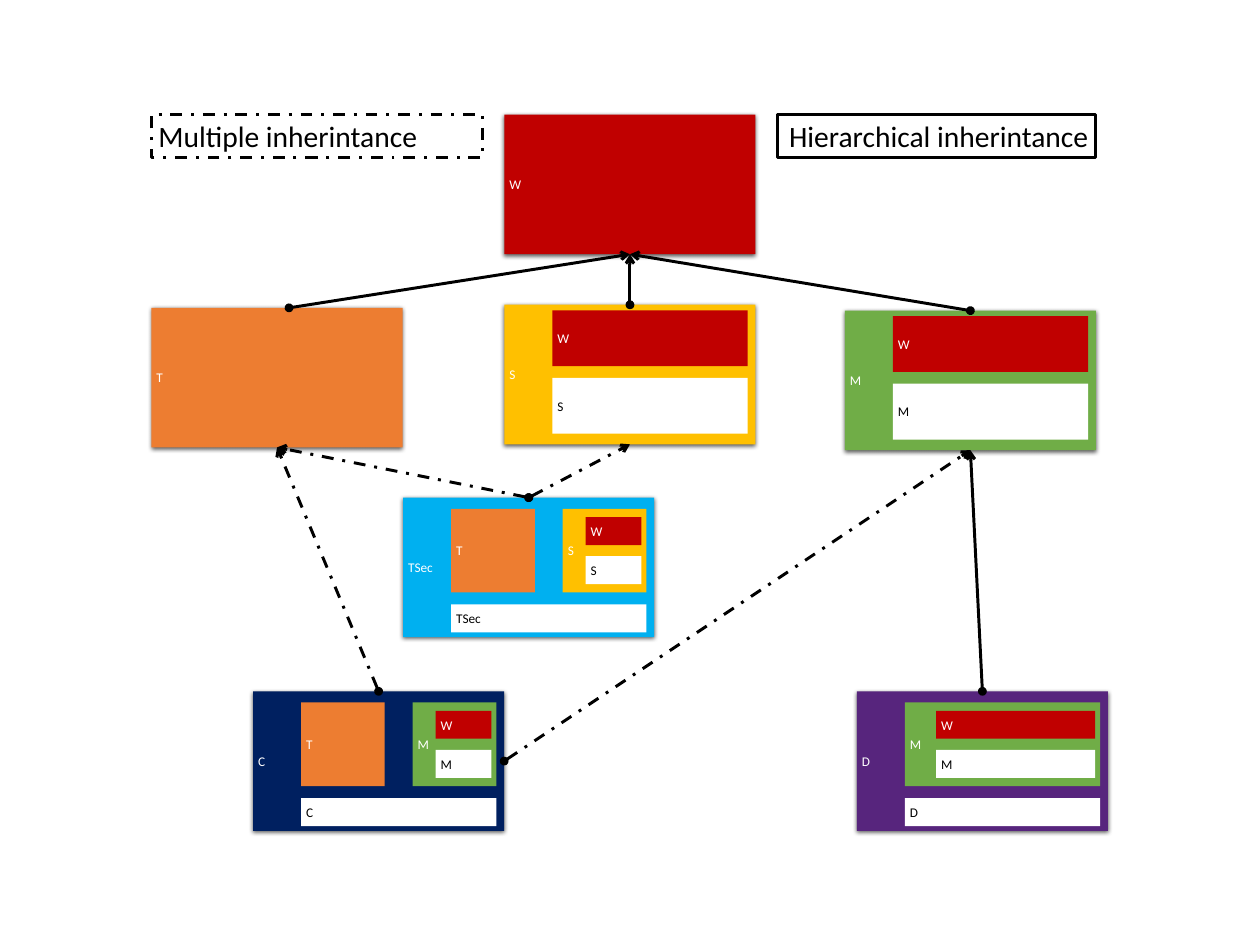
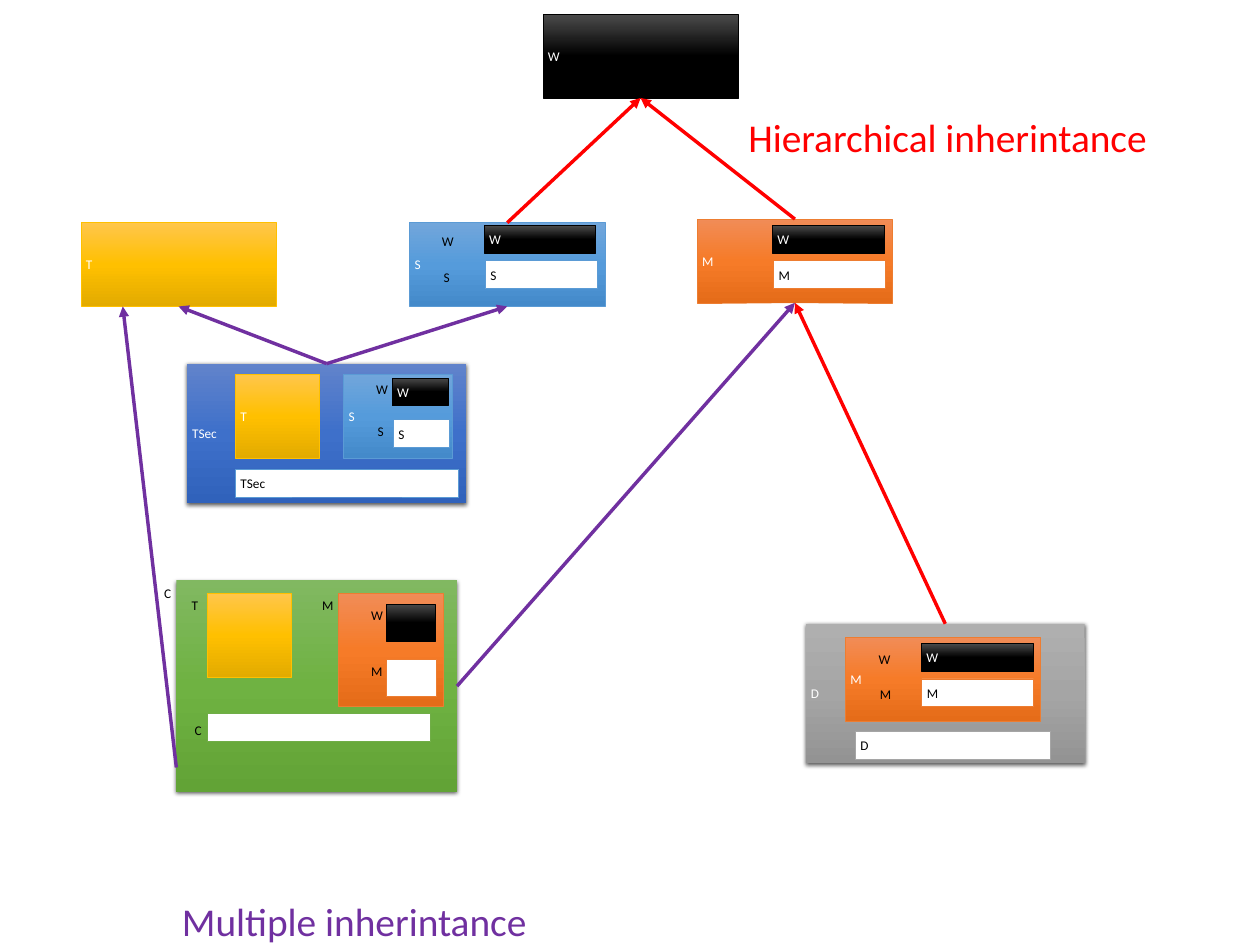
from copy import deepcopy
from pptx import Presentation, util as u
from pptx.dml.color import RGBColor
from pptx.enum import dml, shapes, text
from pptx.oxml import parse_xml
from pptx.oxml.ns import nsdecls, qn

FONT, BODY = "Calibri", 13.5
BLACK, WHITE, RED, PURPLE = "000000", "FFFFFF", "FF0000", "7030A0"
MULTIPLE, HIERARCHICAL = "Multiple inherintance", "Hierarchical inherintance"

FLAT = {
    "W": ("C00000", None), "T": ("ED7D31", None), "S": ("FFC000", None),
    "M": ("70AD47", None), "TSec": ("00B0F0", None), "C": ("002060", None),
    "D": ("57257D", None),
}
GLOSSY = {
    "W": (("4B4B4B", "000000", "000000"), "000000"),
    "T": (("FFC64B", "FFC000", "E3AB00"), "FFC000"),
    "S": (("71A6DB", "559BDB", "448ACA"), "5B9BD5"),
    "M": (("F18C57", "F67B28", "E56C19"), "ED7D31"),
    "TSec": (("6183CB", "3E70CA", "3062BB"), "5B9BD5"),
    "C": (("81B861", "6FB242", "62A336"), "70AD47"),
    "D": (("AFAFAF", "A5A5A5", "939393"), "A5A5A5"),
}


def part(kind, x, y, w, h, *parts, label=None):
    return kind, kind if label is None else label, x, y, w, h, parts


def own(label, x, y, w, h):
    return part("own", x, y, w, h, label=label)


def note(label, x, y):
    return part("note", x, y, 1.27, 0.84, label=label)


def derived(kind, x, y):
    return part(kind, x, y, 9, 5, part("W", 1.72, 0.2, 7, 2), own(kind, 1.72, 2.62, 7, 2))


def joined(kind, x, y, second):
    return part(kind, x, y, 9, 5,
                part("T", 1.72, 0.4, 3, 3),
                part(second, 5.72, 0.4, 3, 3,
                     part("W", 0.82, 0.3, 2, 1), own(second, 0.82, 1.7, 2, 1)),
                own(kind, 1.72, 3.83, 7, 1))


FLAT_CLASSES = [
    part("W", 18.08, 4.11, 9, 5),
    part("T", 5.43, 11.03, 9, 5),
    part("D", 30.71, 24.77, 9, 5,
         part("M", 1.72, 0.4, 7, 3,
              part("W", 1.12, 0.3, 5.7, 1), own("M", 1.12, 1.7, 5.7, 1)),
         own("D", 1.72, 3.83, 7, 1)),
    joined("TSec", 14.45, 17.83, "S"),
    joined("C", 9.07, 24.77, "M"),
    derived("S", 18.08, 10.92),
    derived("M", 30.28, 11.13),
]
TOP, BOTTOM, RIGHT = 0, 2, 3
FLAT_LINKS = [
    ("C", TOP, "T", True), ("C", RIGHT, "M", True), ("D", TOP, "M", False),
    ("TSec", TOP, "T", True), ("TSec", TOP, "S", True),
    ("T", None, "W", False), ("M", TOP, "W", False), ("S", TOP, "W", False),
]
T_START = (10.36, 11.03)

GLOSSY_CLASSES = [
    part("W", 19.46, 0.51, 7, 3),
    part("S", 14.68, 7.98, 7, 3,
         part("W", 2.67, 0.1, 4, 1), note("W", 0.91, 0.25),
         own("S", 2.72, 1.37, 4, 1), note("S", 0.97, 1.52)),
    part("M", 24.99, 7.85, 7, 3,
         part("W", 2.69, 0.23, 4, 1), own("M", 2.74, 1.5, 4, 1)),
    part("D", 28.88, 22.35, 10, 5,
         part("M", 1.42, 0.48, 7, 3,
              part("W", 2.72, 0.23, 4, 1), note("W", 0.94, 0.38),
              own("M", 2.74, 1.5, 4, 1), note("M", 0.99, 1.63)),
         own("D", 1.78, 3.86, 7, 1)),
    part("T", 2.9, 7.98, 7, 3),
    part("TSec", 6.71, 13.03, 10, 5,
         part("S", 5.61, 0.38, 3.89, 3,
              part("W", 1.73, 0.13, 2, 1), note("W", 0.91, 0.13),
              own("S", 1.78, 1.63, 2, 1), note("S", 0.97, 1.63)),
         part("T", 1.73, 0.38, 3, 3),
         own("TSec", 1.73, 3.78, 8, 1)),
    part("C", 6.32, 20.8, 10.06, 7.57,
         part("M", 5.79, 0.46, 3.78, 4.04,
              note("M", -0.81, 0),
              part("W", 1.75, 0.38, 1.75, 1.35, label=""), note("W", 0.94, 0.38),
              own("", 1.75, 2.36, 1.78, 1.35), note("M", 0.94, 2.36), label=""),
         part("T", 1.12, 0.46, 3, 3, label=""), note("T", 0.3, 0.46),
         note("C", -0.69, 0.05),
         own("", 1.12, 4.78, 8, 1), note("C", 0.41, 4.95), label=""),
]
GLOSSY_LINKS = [
    ("C", RIGHT, "M", PURPLE), ("TSec", TOP, "S", PURPLE), ("TSec", TOP, "T", PURPLE),
    ("M", TOP, "W", RED), ("S", TOP, "W", RED), ("D", TOP, "M", RED),
]
C_TO_T = (6.32, 27.5, 4.4, 10.98)


def rgb(value):
    return RGBColor.from_string(value)


def write(sp, label, size=BODY, color=BLACK, align="LEFT", anchor="TOP", inset=(0.25, 0.13)):
    tf = sp.text_frame
    tf.word_wrap = True
    tf.vertical_anchor = getattr(text.MSO_ANCHOR, anchor)
    tf.margin_left = tf.margin_right = u.Cm(inset[0])
    tf.margin_top = tf.margin_bottom = u.Cm(inset[1])
    p = tf.paragraphs[0]
    p.alignment = getattr(text.PP_ALIGN, align)
    r = p.add_run()
    r.text = label
    r.font.name, r.font.size = FONT, u.Pt(size)
    r.font.color.rgb = rgb(color)


def paint(sp, fill):
    if isinstance(fill, str):
        sp.fill.solid()
        sp.fill.fore_color.rgb = rgb(fill)
        return
    sp.fill.gradient()
    sp.fill.gradient_angle = 270
    stops = sp._element.find(".//" + qn("a:gsLst"))
    stops.append(deepcopy(stops[0]))
    for stop, position, color in zip(sp.fill.gradient_stops, (0, 0.5, 1), fill):
        stop.position = position
        stop.color.rgb = rgb(color)


def outline(line, color, width, dashed=False):
    line.color.rgb = rgb(color)
    line.width = u.Pt(width)
    if dashed:
        line.dash_style = dml.MSO_LINE.DASH_DOT


def cast_shadow(sp):
    sp._element.spPr.find(qn("a:effectLst")).append(parse_xml(
        f'<a:outerShdw {nsdecls("a")} blurRad="57150" dist="19050" dir="5400000" '
        'algn="ctr" rotWithShape="0"><a:srgbClr val="000000"><a:alpha val="63000"/>'
        '</a:srgbClr></a:outerShdw>'))


def text_box(s, label, x, y, w, h, **fmt):
    sp = s.shapes.add_textbox(*map(u.Cm, (x, y, w, h)))
    write(sp, label, **fmt)
    return sp


def class_box(holder, styles, shadowed, node, x0=0, y0=0, owner=None):
    kind, label, x, y, w, h, parts = node
    x, y = x0 + x, y0 + y
    frame = [u.Cm(v) for v in (x, y, w, h)]
    if kind == "note":
        write(holder.add_textbox(*frame), label)
        return None
    sp = holder.add_shape(shapes.MSO_SHAPE.RECTANGLE, *frame)
    sp.shadow.inherit = False
    is_own = kind == "own"
    fill, edge = (WHITE, styles[owner][1]) if is_own else styles[kind]
    paint(sp, fill)
    has_shadow = owner is None and kind in shadowed
    if edge and not has_shadow:
        outline(sp.line, edge, 1 if is_own else 0.5)
    else:
        sp.line.fill.background()
    if has_shadow:
        cast_shadow(sp)
    if label:
        write(sp, label, color=BLACK if is_own else WHITE, anchor="MIDDLE", inset=(0.18, 0.1))
    for child in parts:
        class_box(holder, styles, shadowed, child, x, y, kind)
    return sp


def arrow(s, color, width, tail, head=None, dashed=False, ends=(0, 0, 0, 0),
          child=None, site=None, parent=None):
    cn = s.shapes.add_connector(shapes.MSO_CONNECTOR.STRAIGHT, *map(u.Cm, ends))
    outline(cn.line, color, width, dashed)
    ln = cn.line._get_or_add_ln()
    for tag, shape in (("headEnd", head), ("tailEnd", tail)):
        if shape:
            ln.append(parse_xml(f'<a:{tag} {nsdecls("a")} type="{shape}"/>'))
    cn._element.spPr.append(parse_xml(f'<a:effectLst {nsdecls("a")}/>'))
    if site is not None:
        cn.begin_connect(child, site)
    if parent is not None:
        cn.end_connect(parent, BOTTOM)


prs = Presentation()
prs.slide_width, prs.slide_height = u.Cm(45.16), u.Cm(33.86)
blank = prs.slide_layouts[6]

s = prs.slides.add_slide(blank)
boxes = {}
for node in FLAT_CLASSES:
    holder = s.shapes.add_group_shape().shapes if node[-1] else s.shapes
    boxes[node[0]] = class_box(holder, FLAT, FLAT, node)
for child, site, parent, dashed in FLAT_LINKS:
    arrow(s, BLACK, 3, "arrow", "oval", dashed, T_START * 2, boxes[child], site, boxes[parent])
for label, x, w, align, dashed in (
        (MULTIPLE, 5.43, 11.87, "LEFT", True), (HIERARCHICAL, 27.86, 11.4, "RIGHT", False)):
    sp = text_box(s, label, x, 4.11, w, 1.55, size=30, align=align)
    outline(sp.line, BLACK, 3, dashed)

s = prs.slides.add_slide(blank)
boxes = {node[0]: class_box(s.shapes, GLOSSY, ("TSec", "C", "D"), node)
         for node in GLOSSY_CLASSES}
for child, site, parent, color in GLOSSY_LINKS:
    arrow(s, color, 3.5, "triangle", child=boxes[child], site=site, parent=boxes[parent])
arrow(s, PURPLE, 3.5, "triangle", ends=C_TO_T)
text_box(s, MULTIPLE, 6.27, 32.03, 13.51, 1.96, size=40, color=PURPLE)
text_box(s, HIERARCHICAL, 26.57, 3.94, 15.8, 1.96, size=40, color=RED)

prs.save("out.pptx")
